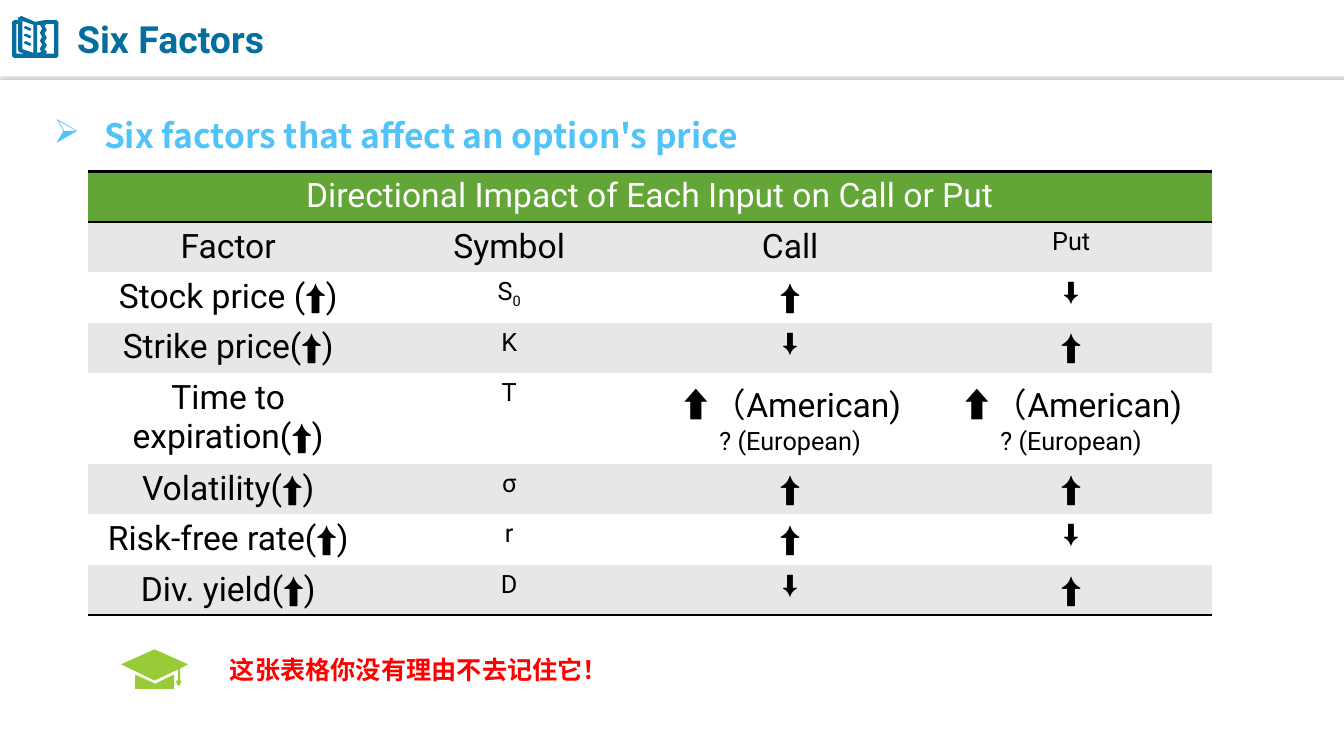
from dataclasses import dataclass
from lxml.etree import SubElement
from pptx import Presentation
from pptx.dml.color import RGBColor
from pptx.enum.shapes import MSO_CONNECTOR
from pptx.enum.text import MSO_ANCHOR, PP_ALIGN
from pptx.oxml.ns import qn
from pptx.util import Inches, Pt

COLUMNS, ROWS = 160, 90


@dataclass(frozen=True)
class Theme:
    latin: str = "Roboto"
    cjk: str = "Noto Sans CJK SC"
    title: str = "056EA0"
    heading: str = "51C3F9"
    header: str = "63A537"
    stripes: tuple = ("E7E7E7", "FFFFFF")
    ink: str = "000000"
    paper: str = "FFFFFF"
    cap: str = "99CB38"
    note: str = "FF0000"
    shadow: str = "BCB4C4"
    title_size: float = 26.7
    large: int = 24
    small: int = 18
    rule: int = 2


THEME = Theme()
NO_TABLE_STYLE = "{2D5ABB26-0587-4C30-8999-92F81FD0307C}"
TABLE_TITLE = "Directional Impact of Each Input on Call or Put"
EXPIRY_IMPACT = "⬆（American)\n? (European)"
FACTORS = [
    ("Factor", "Symbol", "Call", "Put"),
    ("Stock price (⬆)", "S_0", "⬆", "⬇"),
    ("Strike price(⬆)", "K", "⬇", "⬆"),
    ("Time to expiration(⬆)", "T", EXPIRY_IMPACT, EXPIRY_IMPACT),
    ("Volatility(⬆)", "σ", "⬆", "⬆"),
    ("Risk-free rate(⬆)", "r", "⬆", "⬇"),
    ("Div. yield(⬆)", "D", "⬇", "⬆"),
]
SMALL_TEXTS = {"Put", "S_0", "K", "T", "σ", "r", "D", "⬇", "? (European)"}

BOOK = [
    [(20, 0), (50, 14), (70, 10), (96, 10), (100, 14), (100, 96), (96, 100),
     (4, 100), (0, 96), (0, 14), (4, 10), (13, 10), (13, 4)],
    [(22, 12), (22, 79), (46, 88), (46, 21)],
    [(9, 19), (9, 90), (28, 90), (15, 86), (13, 81), (13, 19)],
    [(54, 21), *((60 + 5 * (i % 2), 21 + 9.5 * i) for i in range(7)), (63, 86), (54, 88)],
    [(74, 19), *((70 + 5 * (i % 2), 24 + 9.25 * i) for i in range(7)), (76, 86),
     (72, 90), (91, 90), (91, 19)],
    *([(x, y + 18 * i) for x, y in
       [(26, 26), (30, 24), (41, 30), (40, 35), (37, 35), (26, 29)]] for i in range(3)),
]
CAP = [
    [(51, 87), (79, 64), (79, 100), (21, 100), (21, 64)],
    [(88, 77), (88, 49), (100, 38), (50, 0), (0, 38), (50, 79), (85, 51),
     (85, 77), (82, 82), (84, 91), (87, 92), (90, 82)],
]


@dataclass(frozen=True)
class Box:
    left: int
    top: int
    width: int
    height: int

    def cut(self, column, row, columns, rows, grid=(COLUMNS, ROWS)):
        across, down = self.width / grid[0], self.height / grid[1]
        return Box(round(self.left + column * across), round(self.top + row * down),
                   round(columns * across), round(rows * down))

    def edges(self):
        return self.left, self.top, self.width, self.height


def write(paragraph, text, size, color, bold=False):
    run = paragraph.add_run()
    run.text = text
    for attribute, value in {"name": THEME.latin, "size": Pt(size), "bold": bold}.items():
        setattr(run.font, attribute, value)
    run.font.color.rgb = RGBColor.from_string(color)
    return run


def set_cjk(run):
    SubElement(run.font._element, qn("a:ea"), typeface=THEME.cjk)


def add_text(slide, box):
    frame = slide.shapes.add_textbox(*box.edges()).text_frame
    frame.word_wrap = True
    return frame


def draw_icon(slide, box, contours, color):
    scale = (box.width / 100, box.height / 100)
    builder = slide.shapes.build_freeform(*contours[0][0], scale=scale)
    for index, contour in enumerate(contours):
        if index:
            builder.move_to(*contour[0])
        builder.add_line_segments(contour[1:], close=True)
    icon = builder.convert_to_shape(box.left, box.top)
    icon.shadow.inherit = False
    icon.fill.solid()
    icon.fill.fore_color.rgb = RGBColor.from_string(color)
    icon.line.fill.background()


def draw_header(slide, box):
    grid = (COLUMNS, 9)
    divider = slide.shapes.add_connector(
        MSO_CONNECTOR.STRAIGHT, box.left, box.top + box.height,
        box.left + box.width, box.top + box.height)
    divider.line.color.rgb = RGBColor.from_string(THEME.paper)
    divider.line.width = Pt(0.75)
    effects = SubElement(divider._element.spPr, qn("a:effectLst"))
    shadow = SubElement(effects, qn("a:outerShdw"), blurRad=str(Pt(1)), dist=str(Pt(3)),
                        dir="5400000", algn="t", rotWithShape="0")
    SubElement(shadow, qn("a:srgbClr"), val=THEME.shadow)
    draw_icon(slide, box.cut(1.45, 1.95, 5.5, 5.1, grid), BOOK, THEME.title)
    frame = add_text(slide, box.cut(8, 0.8, 88, 7.7, grid))
    frame.vertical_anchor = MSO_ANCHOR.MIDDLE
    write(frame.paragraphs[0], "Six Factors", THEME.title_size, THEME.title, True)


def draw_heading(slide, box):
    paragraph = add_text(slide, box).paragraphs[0]
    paragraph.line_spacing = 1.5
    properties = paragraph._p.get_or_add_pPr()
    properties.set("marL", str(Inches(0.5)))
    properties.set("indent", str(-Inches(0.5)))
    SubElement(properties, qn("a:buChar"), char="➢")
    run = write(paragraph, "Six factors that affect an option's price",
                THEME.large, THEME.heading, True)
    run.font.name = THEME.cjk
    set_cjk(run)


def style_cell(cell, fill, borders):
    properties = cell._tc.get_or_add_tcPr()
    for side in borders:
        line = SubElement(properties, qn(f"a:{side}"), w=str(Pt(THEME.rule)))
        SubElement(SubElement(line, qn("a:solidFill")), qn("a:srgbClr"), val=THEME.ink)
    cell.fill.solid()
    cell.fill.fore_color.rgb = RGBColor.from_string(fill)


def fill_cell(cell, text, color):
    for index, line in enumerate(text.split("\n")):
        frame = cell.text_frame
        paragraph = frame.add_paragraph() if index else frame.paragraphs[0]
        paragraph.alignment = PP_ALIGN.CENTER
        size = THEME.small if line in SMALL_TEXTS else THEME.large
        base, _, subscript = line.partition("_")
        write(paragraph, base.replace("? ", "? "), size, color)
        if subscript:
            run = write(paragraph, subscript, size, color)
            run.font._element.set("baseline", "-25000")


def draw_factor_table(slide, box):
    count = len(FACTORS) + 1
    table = slide.shapes.add_table(count, 4, *box.edges()).table
    table._tbl.tblPr.find(qn("a:tableStyleId")).text = NO_TABLE_STYLE
    for row in table.rows:
        row.height = box.height // (count + 1)
    table.rows[4].height = round(box.height / (count + 1) * 1.8)
    for cell in table.rows[0].cells:
        style_cell(cell, THEME.header, ("lnT", "lnB"))
    table.cell(0, 0).merge(table.cell(0, 3))
    fill_cell(table.cell(0, 0), TABLE_TITLE, THEME.paper)
    for row, factor in enumerate(FACTORS, 1):
        for column, text in enumerate(factor):
            cell = table.cell(row, column)
            style_cell(cell, THEME.stripes[(row - 1) % 2],
                       ("lnB",) if row == len(FACTORS) else ())
            fill_cell(cell, text, THEME.ink)


def draw_reminder(slide, box):
    grid = (70, 5)
    draw_icon(slide, box.cut(0, 0, 8, 4.7, grid), CAP, THEME.cap)
    frame = add_text(slide, box.cut(11.8, 0, 57, 4.8, grid))
    set_cjk(write(frame.paragraphs[0], "这张表格你没有理由不去记住它！",
                  THEME.small, THEME.note, True))


def main():
    deck = Presentation()
    deck.slide_width, deck.slide_height = Inches(13.33), Inches(7.5)
    slide = deck.slides.add_slide(deck.slide_layouts[6])
    page = Box(0, 0, deck.slide_width, deck.slide_height)
    draw_header(slide, page.cut(0, 0, COLUMNS, 8.8))
    draw_heading(slide, page.cut(5.2, 10.7, 149.7, 74.3))
    draw_factor_table(slide, page.cut(10.45, 20.4, 133.8, 53))
    draw_reminder(slide, page.cut(14.4, 77.3, 70, 5))
    deck.save("out.pptx")


if __name__ == "__main__":
    main()
